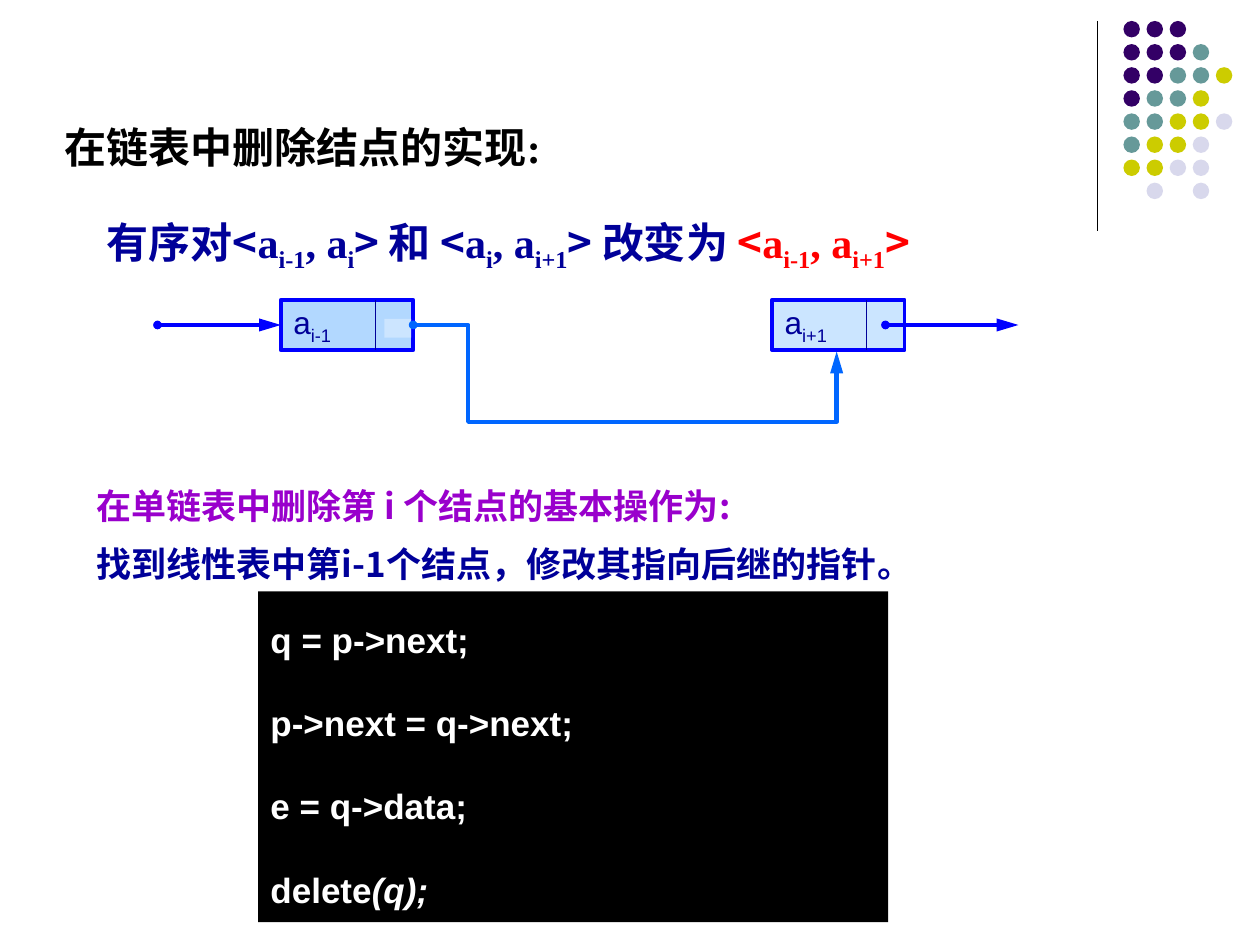
"""Build the slide on deleting a node from a linked list."""
from lxml.etree import SubElement
from pptx import Presentation
from pptx.dml.color import RGBColor
from pptx.enum.shapes import MSO_CONNECTOR, MSO_SHAPE
from pptx.enum.text import MSO_ANCHOR, PP_ALIGN
from pptx.oxml.ns import qn
from pptx.util import Pt

COLORS = {
    "black": "000000", "white": "FFFFFF", "navy": "000099", "red": "FF0000",
    "violet": "9900CC", "blue": "0000FF", "link": "0066FF", "node": "99CCFF",
    "patch": "CCE5FF", "P": "330066", "T": "669999", "Y": "CCCC00", "L": "D8D8EC",
}
CJK, SERIF, SANS = "Noto Sans CJK SC", "Times New Roman", "Arial"
DOT_ROWS = ["PPP", "PPPT", "PPTTY", "PTTY", "TTYYL", "TYYL", "YYLL", " L L"]
DOT_LEFT, DOT_TOP, DOT_STEP, DOT_SIZE = 642, 12, 13.2, 9.4
NODE_TOP, NODE_WIDTH, NODE_HEIGHT, DIVIDER = 171.3, 75.6, 28.8, 54
NODE_MIDDLE = NODE_TOP + NODE_HEIGHT / 2
NODES = [(160.5, "i-1", 75), (441.3, "i+1", 50)]
ARROWS = [(90, 160.5), (506, 582)]


def pair(first, second, **style):
    """Return the spans of an ordered pair without its brackets."""
    style = dict(style, font=SERIF)
    low = dict(style, baseline=-25)
    return [("a", style), (first, low), (", a", style), (second, low)]


TITLE = [[("在链表中删除结点的实现:", {})]]
PAIRS = [[
    ("有序对<", {}), *pair("i-1", "i"), ("> 和 <", {}), *pair("i", "i+1"),
    ("> 改变为 ", {}), ("<", {"color": "red"}),
    *pair("i-1", "i+1", color="red"), (">", {"color": "red"}),
]]
STEPS = [
    [("在单链表中删除第 i 个结点的基本操作为:", {"color": "violet"})],
    [("找到线性表中第i-1个结点，修改其指向后继的指针。", {})],
]
CODE = [
    [("q = p->next;", {})],
    [("p->next = q->next;", {})],
    [("e = q->data;", {})],
    [("delete", {}), ("(q);", {"italic": True})],
]


def rgb(name):
    """Return a named colour."""
    return RGBColor.from_string(COLORS[name])


def add_span(para, text, font=SANS, size=20, color="navy", bold=True, italic=False, baseline=0):
    """Add one formatted span to a paragraph."""
    span = para.add_run()
    span.text = text
    span.font.name, span.font.size = font, Pt(size)
    span.font.bold, span.font.italic = bold, italic
    span.font.color.rgb = rgb(color)
    properties = span._r.get_or_add_rPr()
    if baseline:
        properties.set("baseline", str(baseline * 1000))
    properties.find(qn("a:latin")).addnext(
        properties.makeelement(qn("a:ea"), {"typeface": CJK}))


def write(box, paragraphs, spacing=1.0, before=0, wrap=True, anchor=MSO_ANCHOR.TOP, **style):
    """Fill a box with paragraphs of spans."""
    frame = box.text_frame
    frame.word_wrap, frame.vertical_anchor = wrap, anchor
    for index, spans in enumerate(paragraphs):
        para = frame.add_paragraph() if index else frame.paragraphs[0]
        para.alignment, para.line_spacing = PP_ALIGN.LEFT, spacing
        if index and before:
            para.space_before = Pt(before)
        for text, extra in spans:
            add_span(para, text, **{**style, **extra})


def add_text(page, paragraphs, left, top, width, height, **style):
    """Add a text box."""
    box = page.shapes.add_textbox(Pt(left), Pt(top), Pt(width), Pt(height))
    write(box, paragraphs, **style)


def add_shape(page, kind, left, top, width, height, fill, line=None, alpha=100):
    """Add a filled preset shape."""
    shape = page.shapes.add_shape(kind, Pt(left), Pt(top), Pt(width), Pt(height))
    shape.shadow.inherit = False
    shape.fill.solid()
    shape.fill.fore_color.rgb = rgb(fill)
    if alpha < 100:
        color = shape._element.spPr.find(qn("a:solidFill"))[0]
        SubElement(color, qn("a:alpha"), val=str(alpha * 1000))
    if line:
        shape.line.color.rgb, shape.line.width = rgb(line), Pt(2.25)
    else:
        shape.line.fill.background()
    return shape


def add_line(page, start, end, color, width=0.75, arrow=False, kind=MSO_CONNECTOR.STRAIGHT):
    """Add a line, with a dot and an arrowhead on request."""
    line = page.shapes.add_connector(kind, *map(Pt, (*start, *end)))
    line.line.color.rgb, line.line.width = rgb(color), Pt(width)
    if arrow:
        outline = line.line._get_or_add_ln()
        SubElement(outline, qn("a:headEnd"), type="oval", w="sm", len="sm")
        SubElement(outline, qn("a:tailEnd"), type="triangle", w="med", len="lg")
    SubElement(line._element.spPr, qn("a:effectLst"))
    return line


def add_node(page, left, index, alpha):
    """Add a list node with its data and pointer fields."""
    node = add_shape(page, MSO_SHAPE.RECTANGLE, left, NODE_TOP, NODE_WIDTH, NODE_HEIGHT,
                     "node", "blue", alpha)
    write(node, [[("a", {}), (index, {"baseline": -25})]], wrap=False,
          anchor=MSO_ANCHOR.MIDDLE, size=18, bold=False)
    split = left + DIVIDER
    add_line(page, (split, NODE_TOP), (split, NODE_TOP + NODE_HEIGHT), "navy")


def add_link(page):
    """Add the bent arrow that bypasses the deleted node."""
    link = add_line(page, (236.1, NODE_MIDDLE), (478.1, 200.9), "link", 2.5, True,
                    MSO_CONNECTOR.ELBOW)
    geometry = link._element.spPr.find(qn("a:prstGeom"))
    geometry.set("prst", "bentConnector4")
    guides = geometry.get_or_add_avLst()
    for name, value in (("adj1", 13000), ("adj2", 364200)):
        SubElement(guides, qn("a:gd"), name=name, fmla=f"val {value}")


def main():
    """Build and save the deck."""
    deck = Presentation()
    deck.slide_width, deck.slide_height = Pt(720), Pt(540)
    page = deck.slides.add_slide(deck.slide_layouts[6])

    add_line(page, (627, 12), (627, 132), "black")
    for row, dots in enumerate(DOT_ROWS):
        for column, color in enumerate(dots):
            if color != " ":
                add_shape(page, MSO_SHAPE.OVAL, DOT_LEFT + column * DOT_STEP,
                          DOT_TOP + row * DOT_STEP, DOT_SIZE, DOT_SIZE, color)

    add_text(page, TITLE, 30, 60, 690, 42, spacing=1.2, font=SERIF, size=24, color="black")
    add_text(page, PAIRS, 54, 107, 570, 48, spacing=1.4, font=CJK, size=24)

    for left, index, alpha in NODES:
        add_node(page, left, index, alpha)
    add_shape(page, MSO_SHAPE.RECTANGLE, 219.6, 182.2, 15.4, 10.8, "patch")
    for start, end in ARROWS:
        add_line(page, (start, NODE_MIDDLE), (end, NODE_MIDDLE), "blue", 2.5, True)
    add_link(page)

    add_text(page, STEPS, 48, 263.5, 638, 70, spacing=1.4, font=CJK)
    code = add_shape(page, MSO_SHAPE.RECTANGLE, 147.5, 338, 360, 189, "black")
    write(code, CODE, spacing=1.5, before=11.5, color="white")
    deck.save("out.pptx")


if __name__ == "__main__":
    main()
